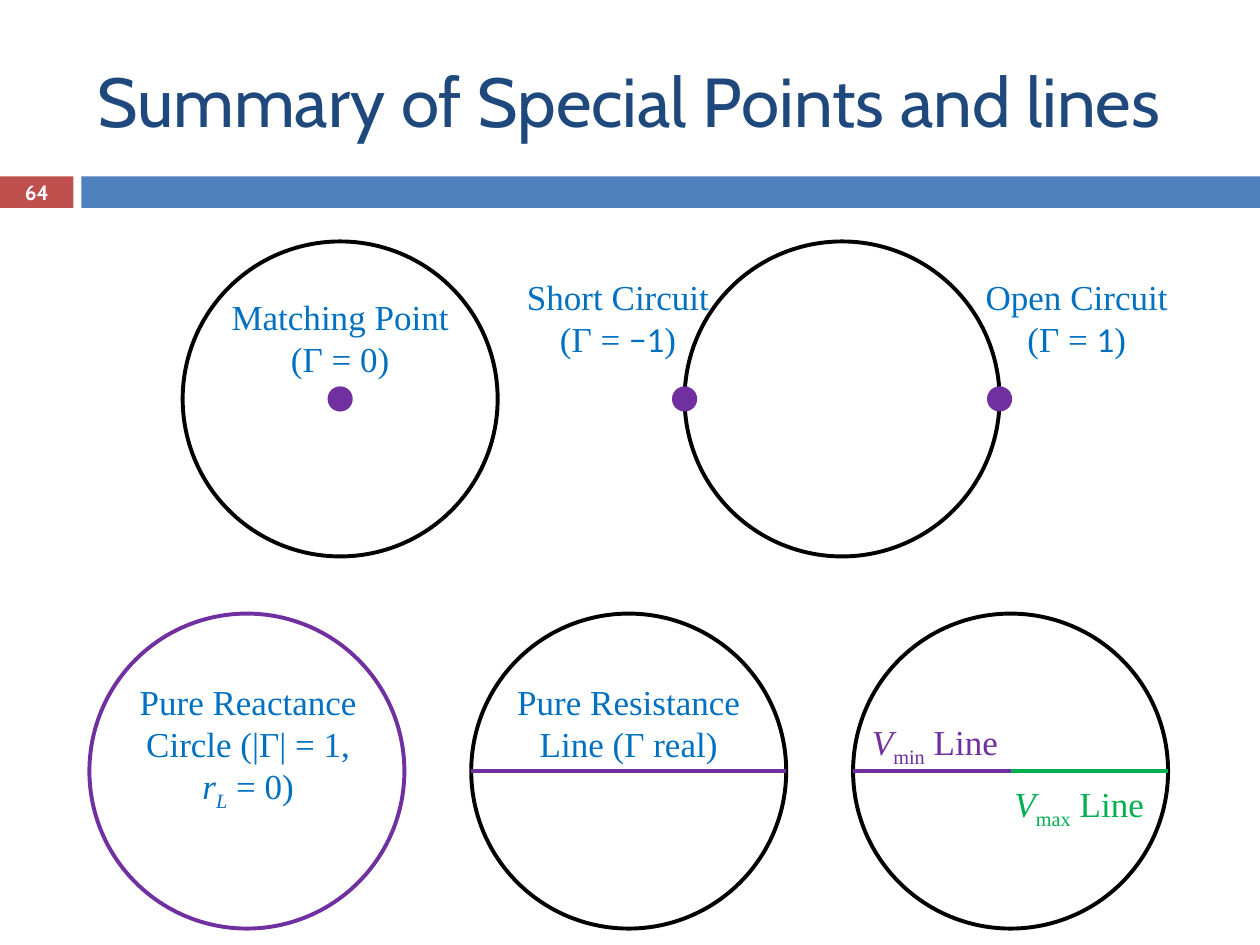
import pptx
import pptx.dml.color
import pptx.enum.shapes
import pptx.enum.text
import pptx.oxml
import pptx.util

Pt = pptx.util.Pt
SHAPES = pptx.enum.shapes.MSO_SHAPE
ALIGN = pptx.enum.text.PP_ALIGN
ANCHOR = pptx.enum.text.MSO_ANCHOR

THEME = {
    "title": "1F497D", "number_tab": "C0504D", "band": "4F81BD", "white": "FFFFFF",
    "outline": "000000", "label": "0070C0", "purple": "7030A0", "green": "00B050",
    "heading_font": "Cabin", "label_font": "Times New Roman", "digit_font": "Calibri",
    "title_size": 39.6, "label_size": 20, "number_size": 11.9, "line_width": 2.25,
}


def rgb(name):
    return pptx.dml.color.RGBColor.from_string(THEME[name])


def add_span(para, text, color="label", font="label_font", size="label_size",
             bold=False, italic=False, baseline=0):
    """Append a formatted run; baseline is a percentage, negative for subscript."""
    span = para.add_run()
    span.text = text
    span.font.name = THEME[font]
    span.font.size = Pt(THEME[size])
    span.font.bold = bold
    span.font.italic = italic
    span.font.color.rgb = rgb(color)
    if baseline:
        span._r.get_or_add_rPr().set("baseline", str(baseline * 1000))


deck = pptx.Presentation()
deck.slide_width, deck.slide_height = Pt(720), Pt(540)
page = deck.slides.add_slide(deck.slide_layouts[5])

# Title
title = page.shapes.title
title.left, title.top, title.width, title.height = Pt(48.24), Pt(18), Pt(642.24), Pt(77.76)
title.text_frame.vertical_anchor = ANCHOR.MIDDLE
title.text_frame.word_wrap = True
title_para = title.text_frame.paragraphs[0]
title_para.alignment = ALIGN.LEFT
add_span(title_para, "Summary of Special Points and lines",
         color="title", font="heading_font", size="title_size")

# Band under the title, with the page number at its left end
for left, width, color in [(0, 42, "number_tab"), (46.5, 673.5, "band")]:
    bar = page.shapes.add_shape(SHAPES.RECTANGLE, Pt(left), Pt(100.8), Pt(width), Pt(18))
    bar.shadow.inherit = False
    bar.fill.solid()
    bar.fill.fore_color.rgb = rgb(color)
    bar.line.fill.background()

number_box = page.shapes.add_textbox(0, Pt(100.08), Pt(42), Pt(19.44))
number_box.text_frame.vertical_anchor = ANCHOR.MIDDLE
number_box.text_frame.word_wrap = True
number_box.text_frame.margin_top = number_box.text_frame.margin_bottom = 0
number_para = number_box.text_frame.paragraphs[0]
number_para.alignment = ALIGN.CENTER
add_span(number_para, "64", color="white", font="heading_font", size="number_size", bold=True)

# Circles: two in the upper row, three evenly spaced in the lower row
RADIUS, DOT_RADIUS = 90, 7.2
UPPER_Y, LOWER_Y = 228, 440.64
MATCH_X, CIRCUIT_X = 194.4, 481.2
REACTANCE_X, RESISTANCE_X, VOLTAGE_X = [141.1 + 218.2 * step for step in range(3)]

circles = [
    (MATCH_X, UPPER_Y, "outline"),
    (CIRCUIT_X, UPPER_Y, "outline"),
    (REACTANCE_X, LOWER_Y, "purple"),
    (RESISTANCE_X, LOWER_Y, "outline"),
    (VOLTAGE_X, LOWER_Y, "outline"),
]
for x, y, color in circles:
    circle = page.shapes.add_shape(SHAPES.OVAL, Pt(x - RADIUS), Pt(y - RADIUS),
                                   Pt(2 * RADIUS), Pt(2 * RADIUS))
    circle.shadow.inherit = False
    circle.fill.background()
    circle.line.color.rgb = rgb(color)
    circle.line.width = Pt(THEME["line_width"])

# Special points
for x in [MATCH_X, CIRCUIT_X - RADIUS, CIRCUIT_X + RADIUS]:
    dot = page.shapes.add_shape(SHAPES.OVAL, Pt(x - DOT_RADIUS), Pt(UPPER_Y - DOT_RADIUS),
                                Pt(2 * DOT_RADIUS), Pt(2 * DOT_RADIUS))
    dot.shadow.inherit = False
    dot.fill.solid()
    dot.fill.fore_color.rgb = rgb("purple")
    dot.line.fill.background()

# Special lines
diameters = [
    (RESISTANCE_X + RADIUS, RESISTANCE_X - RADIUS, "purple"),
    (VOLTAGE_X, VOLTAGE_X - RADIUS, "purple"),
    (VOLTAGE_X + RADIUS, VOLTAGE_X, "green"),
]
for start, end, color in diameters:
    line = page.shapes.add_connector(pptx.enum.shapes.MSO_CONNECTOR.STRAIGHT,
                                     Pt(start), Pt(LOWER_Y), Pt(end), Pt(LOWER_Y))
    line.line.color.rgb = rgb(color)
    line.line.width = Pt(THEME["line_width"])
    line._element.spPr.append(pptx.oxml.parse_xml(
        '<a:effectLst xmlns:a="http://schemas.openxmlformats.org/drawingml/2006/main"/>'))

# Labels: left, top, width, height, colour, then spans of text and format
DIGIT = {"font": "digit_font"}
ITALIC = {"italic": True}
SUBSCRIPT = {"baseline": -25}
labels = [
    (122.4, 165.6, 144, 55.44, "label", [("Matching Point (Γ = 0)", {})]),
    (553.68, 153.72, 123.12, 55.44, "label",
     [("Open Circuit (Γ = ", {}), ("1", DIGIT), (")", {})]),
    (291.6, 153.72, 123.12, 55.44, "label",
     [("Short Circuit (Γ = ", {}), ("−1", DIGIT), (")", {})]),
    (69.84, 385.2, 144, 79.92, "label",
     [("Pure Reactance Circle (|Γ| = 1, ", {}), ("r", ITALIC),
      ("L", ITALIC | SUBSCRIPT), (" = 0)", {})]),
    (287.28, 385.2, 144, 55.44, "label", [("Pure Resistance Line (Γ real)", {})]),
    (488.16, 408.24, 92.16, 31.68, "purple",
     [("V", ITALIC), ("min", SUBSCRIPT), (" Line", {})]),
    (569.52, 443.52, 94.32, 31.68, "green",
     [("V", ITALIC), ("max", SUBSCRIPT), (" Line", {})]),
]
for left, top, width, height, color, spans in labels:
    box = page.shapes.add_textbox(Pt(left), Pt(top), Pt(width), Pt(height))
    box.text_frame.word_wrap = True
    box.text_frame.auto_size = pptx.enum.text.MSO_AUTO_SIZE.SHAPE_TO_FIT_TEXT
    para = box.text_frame.paragraphs[0]
    para.alignment = ALIGN.CENTER
    for text, style in spans:
        add_span(para, text, color=color, **style)

deck.save("out.pptx")
